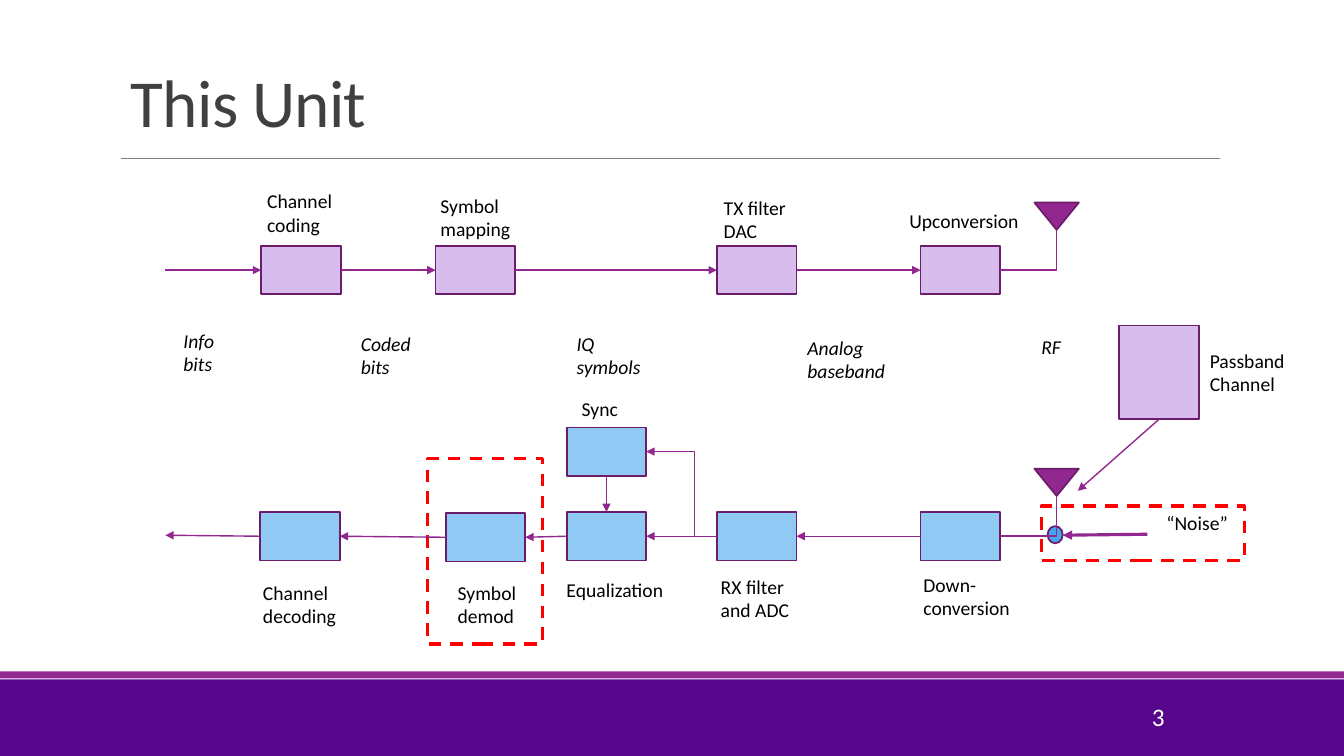
from pptx import Presentation
from pptx import util as u
from pptx.dml.color import RGBColor
from pptx.enum import dml, shapes, text
from pptx.oxml.ns import qn
from lxml import etree

I = u.Inches
THEME = {
    "font": "Calibri", "label": 14, "title": 48, "number": 18,
    "black": "000000", "heading": "404040", "white": "FFFFFF", "rule": "808080",
    "footer": "57068C", "accent": "92278F", "outline": "6C1D6A",
    "tx": "D7BCED", "rx": "8FC9F4", "noise": "45A5ED", "focus": "FF0000",
}
S = shapes.MSO_SHAPE
STRAIGHT, ELBOW = shapes.MSO_CONNECTOR.STRAIGHT, shapes.MSO_CONNECTOR.ELBOW
TOP, LEFT, BOTTOM, RIGHT = range(4)

prs = Presentation()
prs.slide_width, prs.slide_height = I(13.33), I(7.5)
s = prs.slides.add_slide(prs.slide_layouts[6])


def add_shape(kind, at, fill=None, line=None, width=1.25):
    sp = s.shapes.add_shape(kind, *map(I, at))
    sp.shadow.inherit = False
    for part, color in ((sp.fill, fill), (sp.line.fill, line)):
        if color:
            part.solid()
            part.fore_color.rgb = RGBColor.from_string(THEME[color])
        else:
            part.background()
    if line:
        sp.line.width = u.Pt(width)
    return sp


def add_text(words, at, size="label", color="black", italic=False, **frame):
    tf = s.shapes.add_textbox(*map(I, at)).text_frame
    for name, value in {"word_wrap": True, **frame}.items():
        setattr(tf, name, value)
    tf.text = words
    look = {"name": THEME["font"], "size": u.Pt(THEME[size]), "italic": italic}
    for p in tf.paragraphs:
        for r in p.runs:
            for name, value in look.items():
                setattr(r.font, name, value)
            r.font.color.rgb = RGBColor.from_string(THEME[color])
    return tf.paragraphs[0]


# Footer bands, title and slide number
add_shape(S.RECTANGLE, (0, 6.74, 13.33, 0.76), "footer")
add_shape(S.RECTANGLE, (0, 6.66, 13.33, 0.07), "accent")
p = add_text("This Unit", (1.2, 0.31, 11, 1.14), "title", "heading",
             vertical_anchor=text.MSO_ANCHOR.BOTTOM)
p.line_spacing = 0.85
p.runs[0].font._element.set("spc", "-50")
p = add_text("3", (10.22, 6.91, 1.43, 0.4), "number", "white",
             vertical_anchor=text.MSO_ANCHOR.MIDDLE)
p.alignment = text.PP_ALIGN.RIGHT

# Processing blocks: transmitter above, receiver below
W, H = 0.79, 0.48
blocks = {}
for name, x, y, h, fill in (
    ("coding", 2.59, 2.44, H, "tx"), ("mapping", 4.32, 2.44, H, "tx"),
    ("tx filter", 7.11, 2.44, H, "tx"), ("upconversion", 9.13, 2.44, H, "tx"),
    ("channel", 11.1, 3.23, 0.93, "tx"),
    ("downconversion", 9.13, 5.08, H, "rx"), ("rx filter", 7.11, 5.08, H, "rx"),
    ("sync", 5.62, 4.24, H, "rx"), ("equalization", 5.62, 5.08, H, "rx"),
    ("demod", 4.42, 5.09, H, "rx"), ("decoding", 2.58, 5.08, H, "rx"),
):
    blocks[name] = add_shape(S.RECTANGLE, (x, y, W, h), fill, "outline")

# Antennas
for y in (2.01, 4.65):
    add_shape(S.ISOSCELES_TRIANGLE, (10.26, y, 0.44, 0.27), "accent", "outline").rotation = 180

# Block labels
for words, x, y, w, h in (
    ("Channel coding", 2.55, 1.83, 1.05, 0.57), ("Symbol\vmapping", 4.27, 1.87, 1, 0.57),
    ("TX filter DAC", 7.08, 1.89, 1.03, 0.57), ("Upconversion", 8.92, 2.02, 1.29, 0.34),
    ("Passband\nChannel", 11.9, 3.41, 1.29, 0.57),
    ("Down-conversion", 9.06, 5.63, 1.29, 0.57),
    ("RX filter\vand ADC", 7.05, 5.65, 1.29, 0.57), ("Sync", 5.67, 3.89, 1.29, 0.34),
    ("Equalization", 5.52, 5.68, 1.29, 0.34), ("Symbol\vdemod", 4.44, 5.71, 0.95, 0.57),
    ("Channel\vdecoding", 2.51, 5.71, 0.95, 0.57), ("“Noise”", 11.47, 5.02, 1.29, 0.34),
):
    add_text(words, (x, y, w, h))

# Signal names between the blocks
for words, x, y, w, h in (
    ("Info bits", 1.72, 3.21, 0.78, 0.57), ("Coded bits", 3.48, 3.24, 0.78, 0.57),
    ("IQ symbols", 5.62, 3.24, 0.95, 0.57), ("Analog baseband", 7.91, 3.28, 1.04, 0.57),
    ("RF", 10.23, 3.27, 0.57, 0.34),
):
    add_text(words, (x, y, w, h), italic=True)

# Noise adder and dashed focus frames
add_shape(S.OVAL, (10.39, 5.22, 0.15, 0.17), "noise", "outline")
for at in ((10.33, 5.02, 2.01, 0.54), (4.24, 4.55, 1.14, 1.84)):
    add_shape(S.RECTANGLE, at, None, "focus", 2.25).line.dash_style = dml.MSO_LINE.DASH

# Lines: an end is a point or a (block, side) pair
for kind, begin, end, color, width, arrow in (
    (STRAIGHT, (1.2, 1.57), (12.1, 1.57), "rule", 0.5, None),
    (STRAIGHT, (1.64, 2.68), ("coding", LEFT), "accent", 1, "tailEnd"),
    (STRAIGHT, ("coding", RIGHT), ("mapping", LEFT), "accent", 1, "tailEnd"),
    (STRAIGHT, ("mapping", RIGHT), ("tx filter", LEFT), "accent", 1, "tailEnd"),
    (STRAIGHT, ("tx filter", RIGHT), ("upconversion", LEFT), "accent", 1, "tailEnd"),
    (ELBOW, (9.92, 2.68), (10.48, 2.28), "accent", 1, None),
    (STRAIGHT, ("channel", BOTTOM), (10.69, 4.87), "accent", 1, "tailEnd"),
    (ELBOW, (9.92, 5.32), (10.48, 4.92), "accent", 1, None),
    (STRAIGHT, (11.38, 5.3), (10.54, 5.31), "accent", 2.25, "tailEnd"),
    (STRAIGHT, ("downconversion", LEFT), ("rx filter", RIGHT), "accent", 1, "tailEnd"),
    (STRAIGHT, ("rx filter", LEFT), ("equalization", RIGHT), "accent", 1, "tailEnd"),
    (ELBOW, (6.41, 4.48), (6.89, 5.32), "accent", 1, "headEnd"),
    (STRAIGHT, ("sync", BOTTOM), ("equalization", TOP), "accent", 1, "tailEnd"),
    (STRAIGHT, ("equalization", LEFT), ("demod", RIGHT), "accent", 1, "tailEnd"),
    (STRAIGHT, ("demod", LEFT), ("decoding", RIGHT), "accent", 1, "tailEnd"),
    (STRAIGHT, ("decoding", LEFT), (1.64, 5.31), "accent", 1, "tailEnd"),
):
    points = [(0, 0) if pt[0] in blocks else pt for pt in (begin, end)]
    cx = s.shapes.add_connector(kind, *(I(v) for pt in points for v in pt))
    for connect, (block, side) in ((cx.begin_connect, begin), (cx.end_connect, end)):
        if block in blocks:
            connect(blocks[block], side)
    cx.line.width = u.Pt(width)
    cx.line.color.rgb = RGBColor.from_string(THEME[color])
    spPr = cx._element.spPr
    if kind == ELBOW:  # one corner only
        spPr.find(qn("a:prstGeom")).set("prst", "bentConnector2")
    if arrow:
        etree.SubElement(spPr.find(qn("a:ln")), qn("a:" + arrow), type="triangle")
    etree.SubElement(spPr, qn("a:effectLst"))

prs.save("out.pptx")
